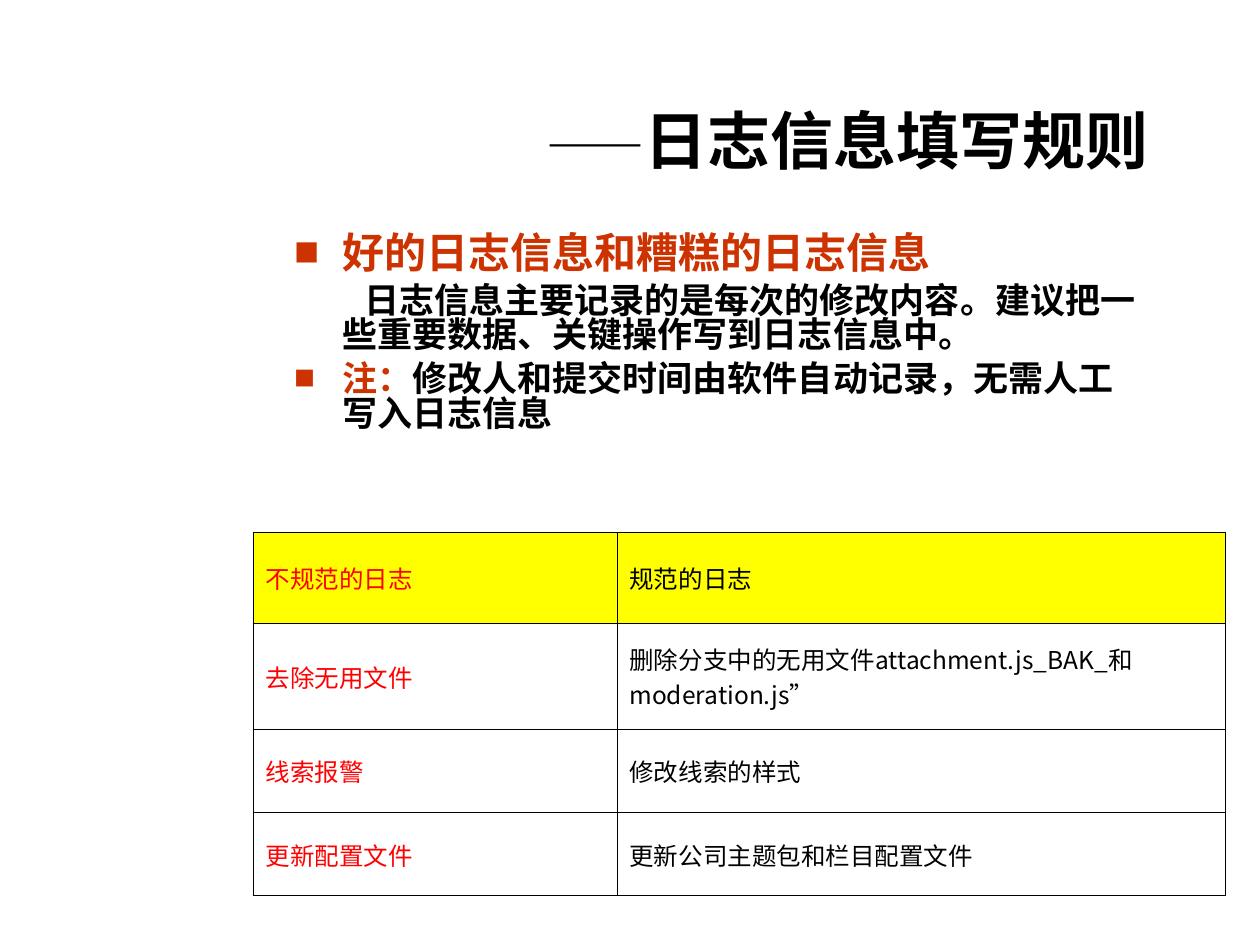
from lxml import etree
from pptx import Presentation
from pptx.dml.color import RGBColor
from pptx.enum.text import MSO_ANCHOR, PP_ALIGN
from pptx.oxml.ns import qn
from pptx.util import Pt

MIDDLE, RIGHT = MSO_ANCHOR.MIDDLE, PP_ALIGN.RIGHT
LATIN, CJK = "Arial", "Noto Sans CJK SC"
BLACK, RUST, RED, YELLOW = "000000", "CC3300", "FF0000", "FFFF00"

# Content: runs are (text, size, colour, font)
TITLE = [("——", 28, BLACK, LATIN), ("日志信息填写规则", 36, BLACK, LATIN)]
# Paragraphs are (bulleted, space before, runs)
RULES = [
    (True, 0, [("好的日志信息和糟糕的日志信息", 24, RUST, CJK)]),
    (False, 5, [("日志信息主要记录的是每次的修改内容。建议把一些重要数据、关键操作写到日志信息中。",
                 20, BLACK, LATIN)]),
    (True, 5, [("注：", 20, RUST, LATIN),
               ("修改人和提交时间由软件自动记录，无需人工写入日志信息", 20, BLACK, LATIN)]),
]
LOG_EXAMPLES = [
    ("不规范的日志", "规范的日志"),
    ("去除无用文件", "删除分支中的无用文件attachment.js_BAK_和moderation.js”"),
    ("线索报警", "修改线索的样式"),
    ("更新配置文件", "更新公司主题包和栏目配置文件"),
]
COLUMN_WIDTHS = [208, 348]
ROW_HEIGHTS = [52, 61, 47.5, 47.5]
COLUMN_COLORS = [RED, BLACK]


def rgb(value):
    return RGBColor.from_string(value)


def add_runs(paragraph, runs, bold):
    for text, size, color, face in runs:
        run = paragraph.add_run()
        run.text = text
        run.font.size, run.font.bold, run.font.name = Pt(size), bold, face
        run.font.color.rgb = rgb(color)
        etree.SubElement(run.font._element, qn("a:ea"), typeface=CJK)


def add_text_frame(left, top, width, height):
    frame = slide.shapes.add_textbox(Pt(left), Pt(top), Pt(width), Pt(height)).text_frame
    frame.word_wrap = True
    return frame


def set_indent(paragraph, bulleted):
    props = paragraph._p.get_or_add_pPr()
    props.set("marL", str(Pt(27)))
    props.set("indent", str(Pt(-27 if bulleted else 12.5)))
    if bulleted:
        color = etree.SubElement(props, qn("a:buClr"))
        etree.SubElement(color, qn("a:srgbClr"), val=RUST)
        etree.SubElement(props, qn("a:buSzPct"), val="60000")
        etree.SubElement(props, qn("a:buFont"), typeface=CJK)
        etree.SubElement(props, qn("a:buChar"), char="■")


def set_borders(cell):
    props = cell._tc.get_or_add_tcPr()
    for position, side in enumerate(("lnL", "lnR", "lnT", "lnB")):
        line = etree.Element(qn(f"a:{side}"), w=str(Pt(0.45)))
        fill = etree.SubElement(line, qn("a:solidFill"))
        etree.SubElement(fill, qn("a:srgbClr"), val=BLACK)
        props.insert(position, line)


deck = Presentation()
deck.slide_width, deck.slide_height = Pt(720), Pt(540)
slide = deck.slides.add_slide(deck.slide_layouts[6])

# Title
title = add_text_frame(127.5, 53.5, 556, 52.5)
title.vertical_anchor = MIDDLE
title.margin_right = Pt(27)
title.paragraphs[0].alignment = RIGHT
add_runs(title.paragraphs[0], TITLE, True)

# Rules
rules = add_text_frame(161.5, 130.5, 499, 181)
for index, (bulleted, space, runs) in enumerate(RULES):
    paragraph = rules.add_paragraph() if index else rules.paragraphs[0]
    set_indent(paragraph, bulleted)
    paragraph.line_spacing = 0.83
    paragraph.space_before = Pt(space)
    add_runs(paragraph, runs, True)

# Table of poor and good log messages
examples = slide.shapes.add_table(
    len(LOG_EXAMPLES), len(COLUMN_WIDTHS), Pt(144.5), Pt(304),
    Pt(sum(COLUMN_WIDTHS)), Pt(sum(ROW_HEIGHTS))).table
for column, width in zip(examples.columns, COLUMN_WIDTHS):
    column.width = Pt(width)
for r, (messages, height) in enumerate(zip(LOG_EXAMPLES, ROW_HEIGHTS)):
    examples.rows[r].height = Pt(height)
    for c, message in enumerate(messages):
        cell = examples.cell(r, c)
        cell.vertical_anchor = MIDDLE
        if r == 0:
            cell.fill.solid()
            cell.fill.fore_color.rgb = rgb(YELLOW)
        else:
            cell.fill.background()
        set_borders(cell)
        add_runs(cell.text_frame.paragraphs[0], [(message, 14, COLUMN_COLORS[c], CJK)], False)

deck.save("out.pptx")
